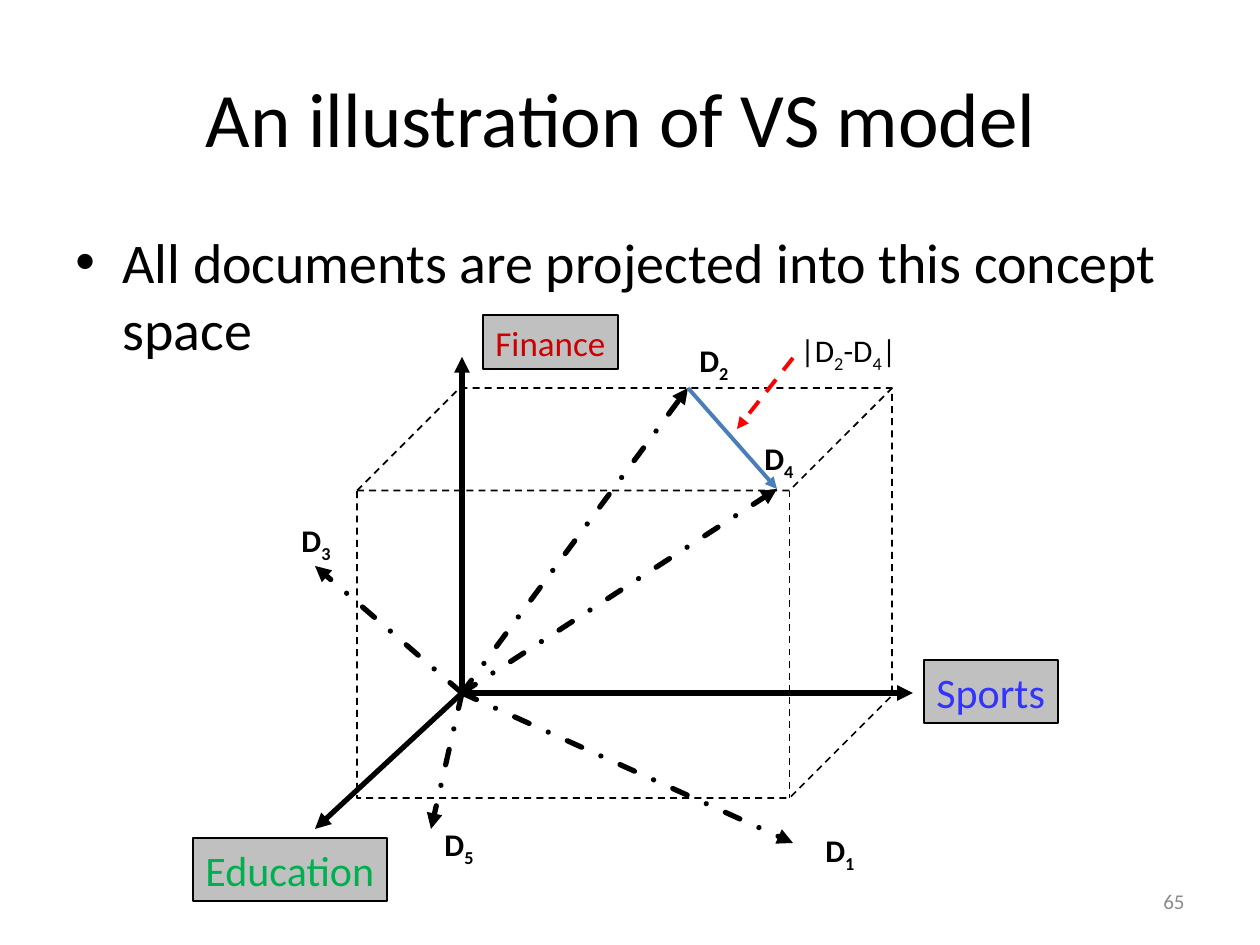
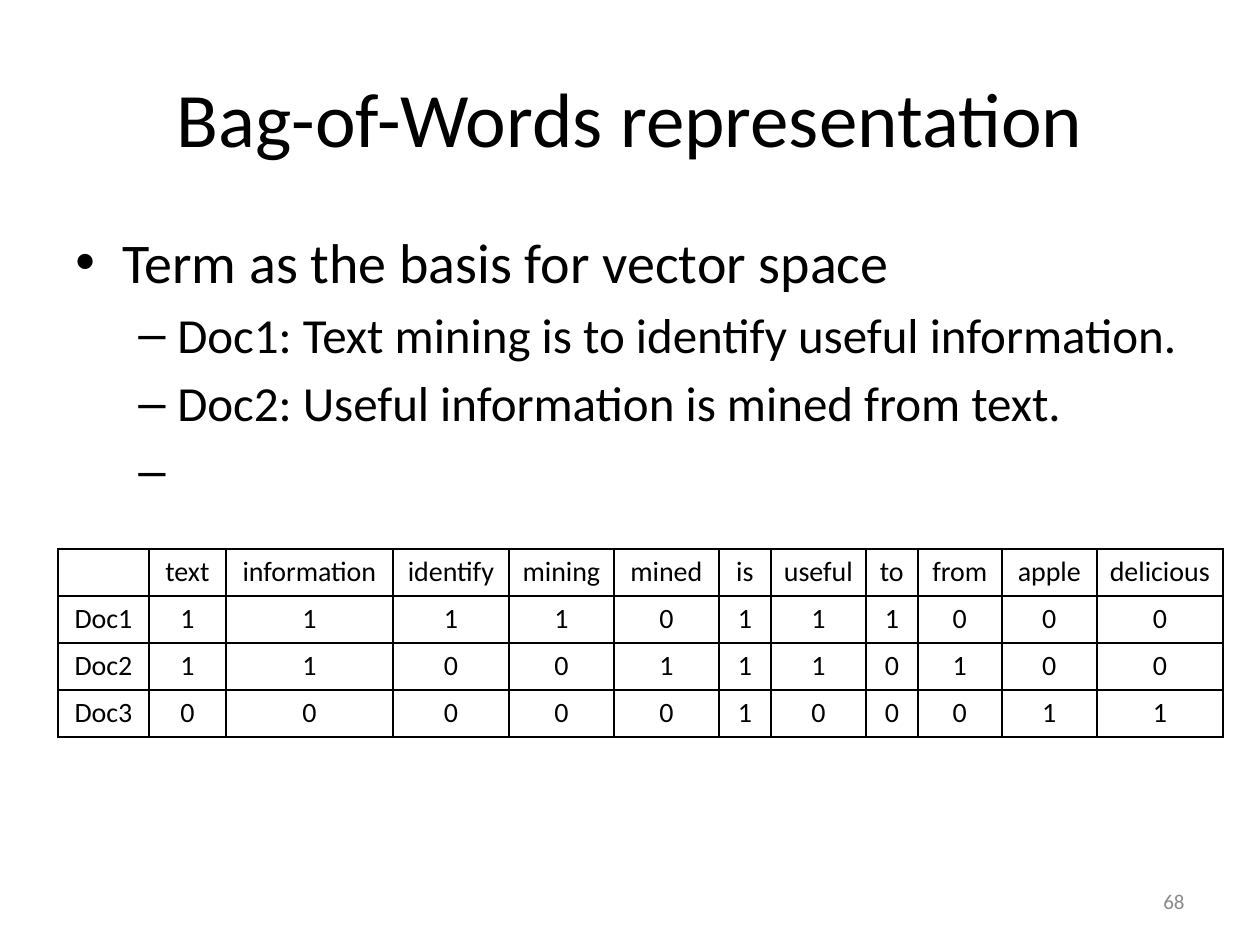
from lxml import etree
from pptx import Presentation
from pptx.dml.color import RGBColor
from pptx.enum.dml import MSO_LINE
from pptx.enum.shapes import MSO_CONNECTOR, MSO_SHAPE
from pptx.enum.text import MSO_ANCHOR, PP_ALIGN
from pptx.oxml.ns import qn
from pptx.util import Emu, Pt

STRAIGHT = MSO_CONNECTOR.STRAIGHT
CUBE, RECTANGLE = MSO_SHAPE.CUBE, MSO_SHAPE.RECTANGLE
DASH, DASH_DOT = MSO_LINE.DASH, MSO_LINE.DASH_DOT
LEFT, CENTER, RIGHT = PP_ALIGN.LEFT, PP_ALIGN.CENTER, PP_ALIGN.RIGHT
TOP, MIDDLE = MSO_ANCHOR.TOP, MSO_ANCHOR.MIDDLE

FONT = "Calibri"
PX_PER_INCH = 126
COLORS = {
    "text": "000000", "page": "8B8B8B", "label": "C0C0C0",
    "sports": "3333FF", "education": "00B050", "finance": "CC0000",
    "difference": "4A7EBB", "pointer": "FF0000",
}
# Per level: bullet, text size, left margin, hanging indent, space before
LEVELS = [("•", 32, 47, 47, 6.4), ("–", 28, 102, 39, 5.6)]
TITLE_BOX = (63, 38, 1134, 158)
BODY_BOX = (63, 221, 1134, 624)
PAGE_BOX = (903, 876, 294, 50)

VECTOR_SPACE = {
    "title": "An illustration of VS model ",
    "body": [(0, "All documents are projected into this concept space")],
    "page": "65",
}
BAG_OF_WORDS = {
    "title": "Bag-of-Words representation",
    "body": [
        (0, "Term as the basis for vector space"),
        (1, "Doc1: Text mining is to identify useful information."),
        (1, "Doc2: Useful information is mined from text."),
        (1, " "),
    ],
    "page": "68",
}

ORIGIN = (462, 693)
CONCEPT_CUBE = (357, 388, 535, 410)
# Concept, colour, text size, label box, axis end
CONCEPTS = [
    ("Sports", "sports", 24, (924, 660, 134, 63), (913, 693)),
    ("Education", "education", 24, (193, 838, 194, 63), (315, 829)),
    ("Finance", "finance", 20, (483, 315, 135, 54), (462, 357)),
]
# Document number: vector end, label corner
DOCUMENTS = {
    "4": ((777, 489), (752, 433)),
    "5": ((431, 829), (432, 819)),
    "2": ((688, 388), (687, 335)),
    "1": ((793, 843), (813, 825)),
    "3": ((315, 566), (289, 515)),
}
DOCUMENT_LABEL_SIZE = (54, 55)
DIFFERENCE = [("|D", False), ("2", True), ("-D", False), ("4", True), ("|", False)]
DIFFERENCE_BOX = (788, 325, 126, 55)
POINTER = ((793, 358), (737, 429))

TERMS = ["text", "information", "identify", "mining", "mined", "is",
         "useful", "to", "from", "apple", "delicious"]
COUNTS = {
    "Doc1": [1, 1, 1, 1, 0, 1, 1, 1, 0, 0, 0],
    "Doc2": [1, 1, 0, 0, 1, 1, 1, 0, 1, 0, 0],
    "Doc3": [0, 0, 0, 0, 0, 1, 0, 0, 0, 1, 1],
}
TABLE_CORNER = (58, 549)
COLUMN_WIDTHS = [91, 77, 167, 116, 105, 105, 52, 95, 52, 84, 95, 126]
ROW_HEIGHT = 47


def px(length):
    return Emu(round(length * 914400 / PX_PER_INCH))


def scaled(lengths):
    return [px(length) for length in lengths]


def rgb(name):
    return RGBColor.from_string(COLORS[name])


def style_runs(paragraph, size, color="text", bold=False, align=LEFT):
    paragraph.alignment = align
    for run in paragraph.runs:
        run.font.name, run.font.size, run.font.bold = FONT, Pt(size), bold
        run.font.color.rgb = rgb(color)


def add_text(slide, box, text, size, color="text", align=LEFT, anchor=TOP):
    frame = slide.shapes.add_textbox(*scaled(box)).text_frame
    frame.word_wrap, frame.vertical_anchor = True, anchor
    frame.text = text
    style_runs(frame.paragraphs[0], size, color, align=align)


def add_subscripted(slide, box, pieces, bold, wrap):
    """Add text whose pieces are (text, is_subscript) pairs."""
    frame = slide.shapes.add_textbox(*scaled(box)).text_frame
    frame.word_wrap = wrap
    paragraph = frame.paragraphs[0]
    for text, is_subscript in pieces:
        run = paragraph.add_run()
        run.text = text
        if is_subscript:
            run.font._element.set("baseline", "-25000")
    style_runs(paragraph, 18, bold=bold)


def add_body(slide, items):
    frame = slide.shapes.add_textbox(*scaled(BODY_BOX)).text_frame
    frame.word_wrap = True
    frame.text = "\n".join(text for _, text in items)
    for paragraph, (level, _) in zip(frame.paragraphs, items):
        bullet, size, margin, hanging, gap = LEVELS[level]
        style_runs(paragraph, size)
        paragraph.level = level
        paragraph.space_before = Pt(gap)
        properties = paragraph._p.get_or_add_pPr()
        properties.set("marL", str(px(margin)))
        properties.set("indent", str(-px(hanging)))
        etree.SubElement(properties, qn("a:buFont")).set("typeface", "Arial")
        etree.SubElement(properties, qn("a:buChar")).set("char", bullet)


def add_arrow(slide, start, end, width, color="text", dash=None):
    arrow = slide.shapes.add_connector(STRAIGHT, *scaled(start + end))
    arrow.line.width = Pt(width)
    arrow.line.color.rgb = rgb(color)
    if dash is not None:
        arrow.line.dash_style = dash
    outline = arrow.line._get_or_add_ln()
    if dash == DASH_DOT:
        outline.set("cap", "rnd")
    etree.SubElement(outline, qn("a:tailEnd")).set("type", "triangle")
    etree.SubElement(arrow._element.spPr, qn("a:effectLst"))


def add_outlined(slide, preset, box, width):
    shape = slide.shapes.add_shape(preset, *scaled(box))
    shape.shadow.inherit = False
    shape.fill.background()
    shape.line.color.rgb = rgb("text")
    shape.line.width = Pt(width)
    return shape


def add_concept_label(slide, concept, color, size, box):
    label = add_outlined(slide, RECTANGLE, box, 0.75)
    label.fill.solid()
    label.fill.fore_color.rgb = rgb("label")
    frame = label.text_frame
    frame.word_wrap, frame.vertical_anchor = False, TOP
    frame.text = concept
    style_runs(frame.paragraphs[0], size, color)


def add_slide(deck, content):
    slide = deck.slides.add_slide(deck.slide_layouts[6])
    add_text(slide, TITLE_BOX, content["title"], 44, align=CENTER, anchor=MIDDLE)
    add_body(slide, content["body"])
    add_text(slide, PAGE_BOX, content["page"], 12, "page", RIGHT, MIDDLE)
    return slide


def draw_concept_space(slide):
    cube = add_outlined(slide, CUBE, CONCEPT_CUBE, 1)
    cube.adjustments[0] = 0.25
    cube.line.dash_style = DASH
    for concept, color, size, box, axis_end in CONCEPTS:
        add_arrow(slide, ORIGIN, axis_end, 3)
        add_concept_label(slide, concept, color, size, box)
    for number, (vector_end, corner) in DOCUMENTS.items():
        add_arrow(slide, ORIGIN, vector_end, 3, dash=DASH_DOT)
        add_subscripted(slide, corner + DOCUMENT_LABEL_SIZE,
                        [("D", False), (number, True)], bold=True, wrap=False)
    add_arrow(slide, DOCUMENTS["2"][0], DOCUMENTS["4"][0], 2.25, "difference")
    add_subscripted(slide, DIFFERENCE_BOX, DIFFERENCE, bold=False, wrap=True)
    add_arrow(slide, *POINTER, 2.25, "pointer", DASH)


def add_borders(cell):
    properties = cell._tc.get_or_add_tcPr()
    for position, side in enumerate(("lnL", "lnR", "lnT", "lnB")):
        border = etree.Element(qn(f"a:{side}"), w=str(Pt(1)))
        fill = etree.SubElement(border, qn("a:solidFill"))
        etree.SubElement(fill, qn("a:srgbClr")).set("val", COLORS["text"])
        properties.insert(position, border)


def draw_term_table(slide):
    rows = [["", *TERMS]] + [[doc, *counts] for doc, counts in COUNTS.items()]
    size = (sum(COLUMN_WIDTHS), ROW_HEIGHT * len(rows))
    table = slide.shapes.add_table(
        len(rows), len(COLUMN_WIDTHS), *scaled(TABLE_CORNER + size)).table
    table.first_row = table.horz_banding = False
    for column, width in zip(table.columns, COLUMN_WIDTHS):
        column.width = px(width)
    for row_number, row in enumerate(rows):
        for column_number, value in enumerate(row):
            cell = table.cell(row_number, column_number)
            cell.fill.background()
            add_borders(cell)
            cell.text = str(value)
            paragraph = cell.text_frame.paragraphs[0]
            style_runs(paragraph, 16, align=CENTER)
            if not value and not paragraph.runs:
                paragraph._p.get_or_add_endParaRPr().set("sz", "1600")


def main():
    deck = Presentation()
    deck.slide_width, deck.slide_height = px(1260), px(945)
    draw_concept_space(add_slide(deck, VECTOR_SPACE))
    draw_term_table(add_slide(deck, BAG_OF_WORDS))
    deck.save("out.pptx")


if __name__ == "__main__":
    main()
